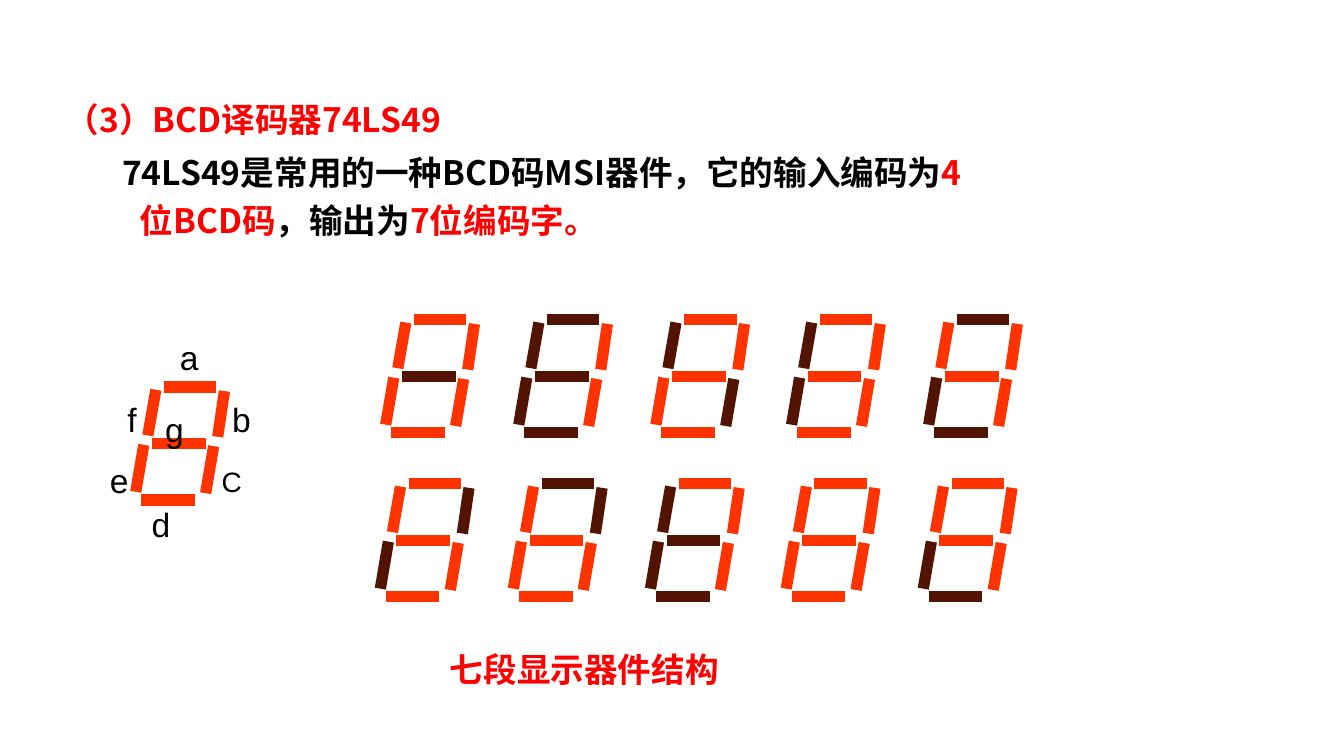
from dataclasses import dataclass

from lxml.etree import SubElement
from pptx import Presentation
from pptx.dml.color import RGBColor
from pptx.enum.shapes import MSO_CONNECTOR
from pptx.oxml.ns import qn
from pptx.slide import Slide
from pptx.util import Inches, Pt

RED = RGBColor(0xFF, 0x00, 0x00)
BLACK = RGBColor(0x00, 0x00, 0x00)
LIT = RGBColor(0xFF, 0x33, 0x00)
UNLIT = RGBColor(0x52, 0x14, 0x00)
CJK_FONT = "Noto Sans CJK JP"
LABEL_FONT = "Arial"

SEGMENTS = {
    "a": (0, 0, 0.39, 0),
    "b": (0.45, 0.03, 0.4, 0.37),
    "c": (0.37, 0.44, 0.31, 0.79),
    "d": (-0.17, 0.84, 0.23, 0.84),
    "e": (-0.15, 0.43, -0.21, 0.78),
    "f": (-0.06, 0.02, -0.12, 0.36),
    "g": (-0.09, 0.42, 0.31, 0.42),
}
DIGITS = ["abcdef", "bc", "abdeg", "abcdg", "bcfg",
          "acdfg", "cdefg", "abc", "abcdefg", "abcfg"]
COLUMNS = [3.08, 4.07, 5.09, 6.1, 7.12]
ROW_PITCH = 1.22
ROW_SHIFT = -0.04


@dataclass
class TextItem:
    runs: list[tuple[str, RGBColor]]
    left: float
    top: float
    width: float
    height: float = 0.4
    size: float = 18
    font: str = CJK_FONT
    bold: bool = True
    wrap: bool = False
    line_spacing: float = 1.0
    margin: float = 0
    indent: float = 0


def label(text: str, left: float, top: float, width: float = 0.34,
          height: float = 0.4, size: float = 18) -> TextItem:
    return TextItem([(text, BLACK)], left, top, width, height, size, LABEL_FONT, False)


TEXTS = [
    TextItem([("（3）BCD译码器74LS49", RED)], 0.39, 0.72, 8.73, 0.45,
             wrap=True, line_spacing=0.9),
    TextItem([("74LS49是常用的一种BCD码MSI器件，它的输入编码为", BLACK),
              ("4位BCD码", RED), ("，输出为", BLACK), ("7位编码字。", RED)],
             0.75, 1.02, 6.65, 1.12, wrap=True, line_spacing=1.2,
             margin=0.19, indent=-0.13),
    TextItem([("七段显示器件结构", RED)], 3.25, 4.78, 2.2),
]
LABELS = [
    label("a", 1.24, 2.46),
    label("b", 1.63, 2.92),
    label("C", 1.55, 3.41, 0.42, 0.35, 15),
    label("d", 1.03, 3.7),
    label("e", 0.72, 3.37),
    label("f", 0.85, 2.92, 0.27),
    label("g", 1.13, 2.99),
]


def draw_text(s: Slide, item: TextItem) -> None:
    box = s.shapes.add_textbox(Inches(item.left), Inches(item.top),
                               Inches(item.width), Inches(item.height))
    tf = box.text_frame
    tf.word_wrap = item.wrap
    p = tf.paragraphs[0]
    p.line_spacing = item.line_spacing
    if item.margin:
        pPr = p._p.get_or_add_pPr()
        pPr.set("marL", str(Inches(item.margin)))
        pPr.set("indent", str(Inches(item.indent)))
    p.font.size = Pt(item.size)
    p.font.name = item.font
    p.font.bold = item.bold
    for text, color in item.runs:
        r = p.add_run()
        r.text = text
        r.font.color.rgb = color
        SubElement(r._r.get_or_add_rPr(), qn("a:ea")).set("typeface", item.font)


def draw_digit(s: Slide, left: float, top: float, lit: str) -> None:
    group = s.shapes.add_group_shape()
    for name, (x1, y1, x2, y2) in SEGMENTS.items():
        line = group.shapes.add_connector(
            MSO_CONNECTOR.STRAIGHT, Inches(left + x1), Inches(top + y1),
            Inches(left + x2), Inches(top + y2))
        line.line.color.rgb = LIT if name in lit else UNLIT
        line.line.width = Pt(6)
        SubElement(line._element.spPr, qn("a:effectLst"))


def main() -> None:
    prs = Presentation()
    prs.slide_width = Inches(10)
    prs.slide_height = Inches(10) * 9 // 16
    s = prs.slides.add_slide(prs.slide_layouts[6])
    for item in TEXTS:
        draw_text(s, item)
    draw_digit(s, 1.22, 2.88, "abcdefg")
    for item in LABELS:
        draw_text(s, item)
    for i, lit in enumerate(DIGITS):
        row, column = divmod(i, len(COLUMNS))
        draw_digit(s, COLUMNS[column] + row * ROW_SHIFT, 2.38 + row * ROW_PITCH, lit)
    prs.save("out.pptx")


if __name__ == "__main__":
    main()
